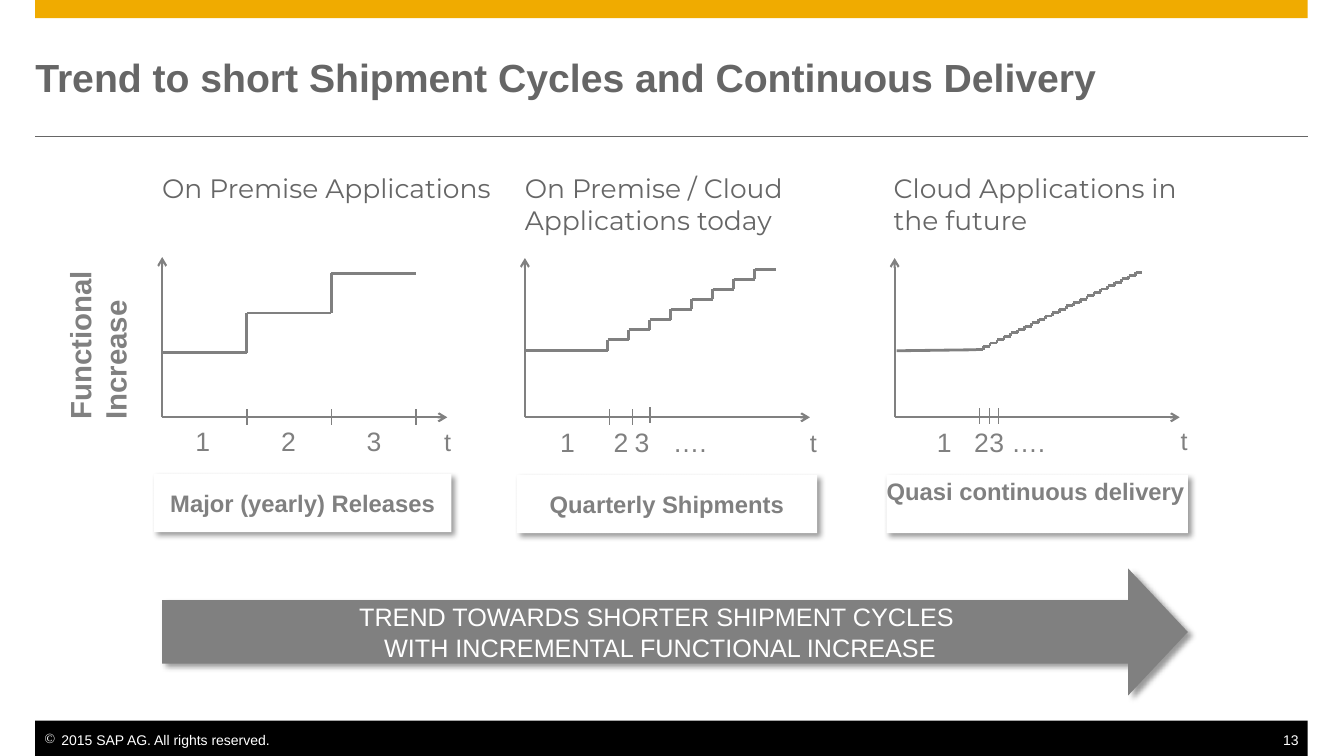
from dataclasses import dataclass

from lxml.etree import SubElement
from pptx import Presentation
from pptx.dml.color import RGBColor
from pptx.enum.shapes import MSO_CONNECTOR, MSO_SHAPE
from pptx.enum.text import MSO_ANCHOR, MSO_AUTO_SIZE, PP_ALIGN
from pptx.oxml.ns import qn
from pptx.util import Emu, Pt

SCALE = 9144
HUES = {"gold": "F0AB00", "dark": "666666", "gray": "808080",
        "black": "000000", "white": "FFFFFF"}
Point = tuple[float, float]


@dataclass
class Mark:
    text: str
    x: int
    y: int
    wide: int = 19
    tab: int = 0


@dataclass
class Stair:
    start: Point
    end: Point
    count: int


@dataclass
class Chart:
    head: str
    left: int
    wide: int
    axis: int
    tip: int
    base: int
    ticks: list[Point]
    marks: list[Mark]
    time: Point
    lead: list[Point]
    stair: Stair


@dataclass
class Tag:
    text: str
    box: tuple[int, int, int, int]
    align: PP_ALIGN = PP_ALIGN.CENTER
    anchor: MSO_ANCHOR = MSO_ANCHOR.MIDDLE
    pad: tuple[int, int, int, int] = (0, 0, 0, 0)


CHARTS = [
    Chart("On Premise Applications", 161, 328, 161, 255, 414,
          [(245, 406), (329, 406), (413, 406)],
          [Mark("1", 194, 422), Mark("2", 279, 422), Mark("3", 364, 422)],
          (441, 423), [], Stair((161, 350), (413, 271), 3)),
    Chart("On Premise / Cloud Applications today", 521, 335, 521, 256, 414,
          [(605, 406), (628, 406), (645, 404)],
          [Mark("1", 556, 423), Mark("2", 609, 423),
           Mark("3\t….", 630, 423, 151, 38)],
          (804, 424), [(521, 348), (603, 348)],
          Stair((603, 337), (770, 267), 8)),
    Chart("Cloud Applications in the future", 887, 291, 888, 256, 414,
          [(972, 405), (982, 405), (991, 405)],
          [Mark("1", 930, 423), Mark("2", 967, 423),
           Mark("3 ….", 982, 423, 121)],
          (1172, 422), [(890, 348)], Stair((969, 347), (1134, 270), 24)),
]

TAGS = [
    Tag("Major (yearly) Releases", (153, 470, 295, 58)),
    Tag("Quarterly Shipments", (513, 471, 298, 58)),
    Tag("Quasi continuous delivery", (880, 471, 299, 58),
        PP_ALIGN.LEFT, MSO_ANCHOR.TOP, (0, 2, 0, 0)),
]


def px(num: float) -> Emu:
    return Emu(round(num * SCALE))


def hue(name: str) -> RGBColor:
    return RGBColor.from_string(HUES[name])


def write(shape, text: str, *, size: int, color: str = "gray",
          face: str = "Arial", bold: bool = False, wrap: bool = True,
          align: PP_ALIGN = PP_ALIGN.LEFT, anchor: MSO_ANCHOR = MSO_ANCHOR.TOP,
          pad: tuple[int, int, int, int] = (0, 0, 0, 0), tab: int = 0,
          mark: str = "") -> None:
    frame = shape.text_frame
    frame.auto_size = MSO_AUTO_SIZE.NONE
    frame.word_wrap = wrap
    frame.vertical_anchor = anchor
    (frame.margin_left, frame.margin_top,
     frame.margin_right, frame.margin_bottom) = map(px, pad)
    para = frame.paragraphs[0]
    para.text = text
    para.alignment = align
    props = para._p.get_or_add_pPr()
    if mark:
        props.set("marL", str(px(17)))
        props.set("indent", str(px(-17)))
        tint = SubElement(props, qn("a:buClr"))
        SubElement(tint, qn("a:srgbClr"), val=HUES[color])
        SubElement(props, qn("a:buChar"), char=mark)
    if tab:
        stops = SubElement(props, qn("a:tabLst"))
        SubElement(stops, qn("a:tab"), pos=str(px(tab)), algn="l")
    for run in para.runs:
        run.font.name = face
        run.font.size = Pt(size)
        run.font.bold = bold
        run.font.color.rgb = hue(color)


def label(shapes, text: str, x: float, y: float, w: int, h: int, **style):
    box = shapes.add_textbox(px(x), px(y), px(w), px(h))
    write(box, text, **style)
    return box


def block(shapes, kind: MSO_SHAPE, x: int, y: int, w: int, h: int,
          color: str, shade: bool = False):
    shape = shapes.add_shape(kind, px(x), px(y), px(w), px(h))
    shape.fill.solid()
    shape.fill.fore_color.rgb = hue(color)
    shape.line.fill.background()
    shape.shadow.inherit = False
    if shade:
        glow = SubElement(shape._element.spPr.find(qn("a:effectLst")),
                          qn("a:outerShdw"), blurRad=str(Pt(4)),
                          dist=str(Pt(3)), dir="2700000", algn="tl",
                          rotWithShape="0")
        tint = SubElement(glow, qn("a:srgbClr"), val=HUES["black"])
        SubElement(tint, qn("a:alpha"), val="40000")
    return shape


def line(shapes, start: Point, end: Point, width: float,
         color: str = "gray", arrow: bool = False) -> None:
    wire = shapes.add_connector(MSO_CONNECTOR.STRAIGHT,
                                *map(px, (*start, *end)))
    wire.line.color.rgb = hue(color)
    wire.line.width = Pt(width)
    if arrow:
        SubElement(wire.line._get_or_add_ln(), qn("a:tailEnd"), type="arrow")
    SubElement(wire._element.spPr, qn("a:effectLst"))


def climb(stair: Stair) -> list[Point]:
    (x, y), (right, top) = stair.start, stair.end
    run = (right - x) / stair.count
    rise = (top - y) / (stair.count - 1)
    return [(x + (step + side) * run, y + step * rise)
            for step in range(stair.count) for side in (0, 1)]


def plot(slide, chart: Chart) -> None:
    label(slide.shapes, chart.head, chart.left, 171, chart.wide, 64,
          size=19, color="dark", face="Montserrat")
    shapes = slide.shapes.add_group_shape().shapes
    root = (chart.axis, chart.base)
    for end in ((chart.axis, chart.tip), (chart.axis + 283, chart.base)):
        line(shapes, root, end, 1.5, arrow=True)
    for x, y in chart.ticks:
        line(shapes, (x, y), (x, y + 16), 1)
    for mark in chart.marks:
        label(shapes, mark.text, mark.x, mark.y, mark.wide, 32,
              size=19, tab=mark.tab)
    label(shapes, "t", *chart.time, 7, 30, size=18, wrap=False)
    trail = chart.lead + climb(chart.stair)
    for start, end in zip(trail, trail[1:]):
        line(shapes, start, end, 2)


def main() -> None:
    deck = Presentation()
    deck.slide_width, deck.slide_height = px(1334), px(750)
    slide = deck.slides.add_slide(deck.slide_layouts[5])
    shapes = slide.shapes

    block(shapes, MSO_SHAPE.RECTANGLE, 35, 0, 1263, 18, "gold")
    line(shapes, (35, 135), (1298, 135), 0.5, "dark")
    block(shapes, MSO_SHAPE.RECTANGLE, 35, 715, 1263, 35, "black")
    label(shapes, "2015 SAP AG. All rights reserved.", 35, 726, 237, 17,
          size=10, color="white", wrap=False, pad=(9, 0, 0, 0), mark="©")
    label(shapes, "13", 1271, 726, 27, 17, size=10, color="white",
          wrap=False, align=PP_ALIGN.RIGHT, pad=(0, 0, 9, 0))

    title = shapes.title
    title.left, title.top, title.width, title.height = map(
        px, (35, 35, 1263, 83))
    write(title, "Trend to short Shipment Cycles and Continuous Delivery",
          size=28, color="dark", bold=True, anchor=MSO_ANCHOR.MIDDLE)

    side = label(shapes, "Functional Increase", 21, 305, 152, 71,
                 size=21, bold=True)
    side.rotation = 270

    for tag in TAGS:
        card = block(shapes, MSO_SHAPE.RECTANGLE, *tag.box, "white", True)
        write(card, tag.text, size=17, bold=True, align=tag.align,
              anchor=tag.anchor, pad=tag.pad)

    trend = block(shapes, MSO_SHAPE.RIGHT_ARROW, 161, 564, 1018, 126,
                  "gray", True)
    trend.adjustments[0], trend.adjustments[1] = 0.5, 0.47
    write(trend, "TREND TOWARDS SHORTER SHIPMENT CYCLES \v"
          "WITH INCREMENTAL FUNCTIONAL INCREASE", size=18, color="white",
          align=PP_ALIGN.CENTER, anchor=MSO_ANCHOR.MIDDLE, pad=(12, 9, 12, 9))

    for chart in CHARTS:
        plot(slide, chart)
    deck.save("out.pptx")


if __name__ == "__main__":
    main()
